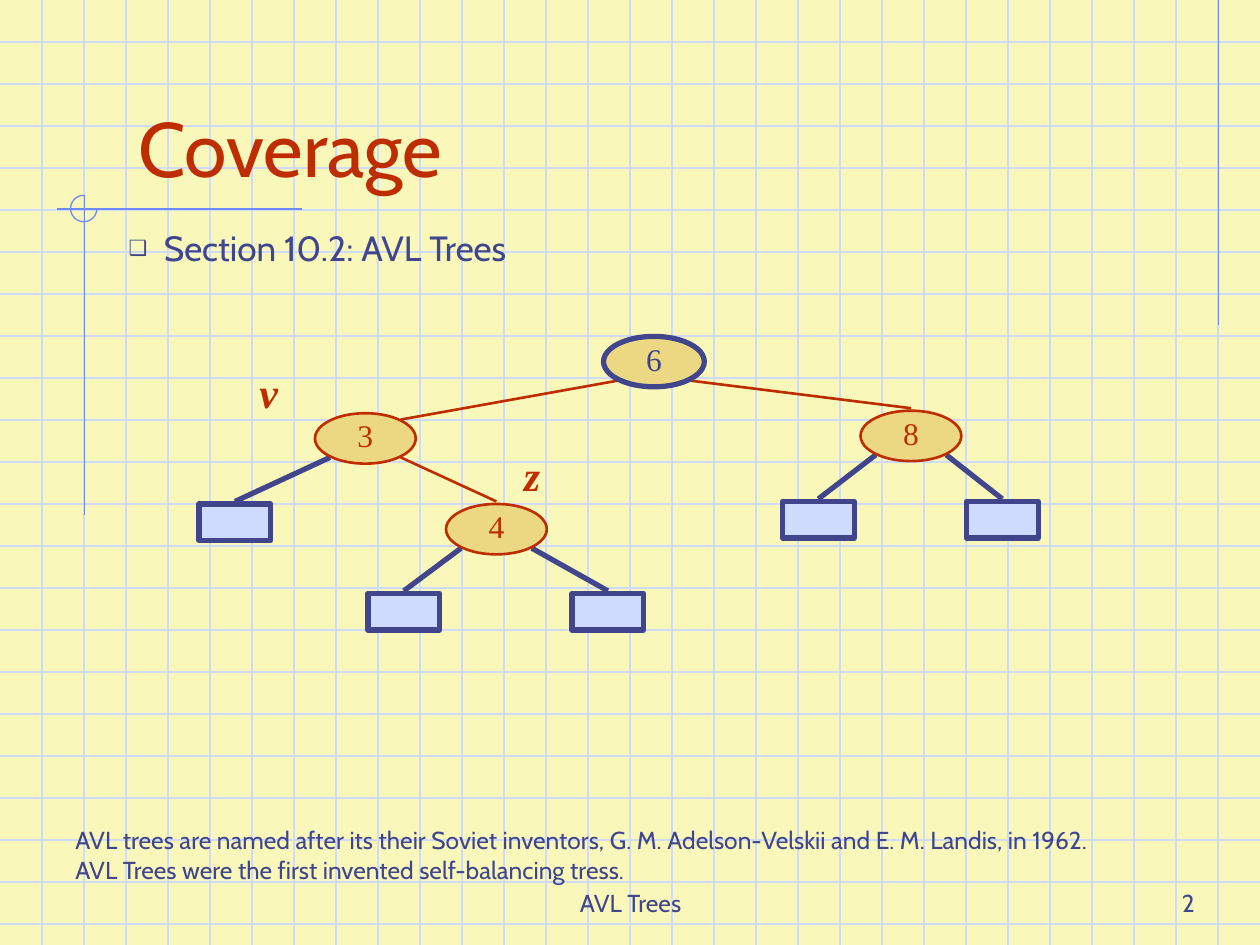
import pptx
import pptx.dml.color
import pptx.enum.shapes
import pptx.enum.text
import pptx.oxml
import pptx.oxml.ns
import pptx.util
from pptx.util import Inches

SHAPES = pptx.enum.shapes.MSO_SHAPE
ALIGN = pptx.enum.text.PP_ALIGN
ANCHOR = pptx.enum.text.MSO_ANCHOR

# Content
TITLE = "Coverage"
SECTION = "Section 10.2: AVL Trees"
NOTE = ("AVL trees are named after its their Soviet inventors, G. M. Adelson-Velskii "
        "and E. M. Landis, in 1962. AVL Trees were the first invented self-balancing tress.")
FOOTER = "AVL Trees"
PAGE = "2"

# Tree: key -> left, top, outline colour, outline width
NODES = {
    "6": (4.79, 2.67, "ink", 3),
    "3": (2.5, 3.28, "accent", 1.5),
    "8": (6.83, 3.26, "accent", 1.5),
    "4": (3.54, 4, "accent", 1.5),
}
# Leaves: parent, side (-1 left, 1 right), left, top
LEAVES = [
    ("3", -1, 1.58, 4),
    ("8", -1, 6.21, 3.98),
    ("8", 1, 7.67, 3.98),
    ("4", -1, 2.92, 4.71),
    ("4", 1, 4.54, 4.71),
]
# Edges between nodes: parent, side, child, whether it ends at the child's right shoulder
EDGES = [("6", -1, "3", True), ("6", 1, "8", False), ("3", 1, "4", False)]
LABELS = [("v", 1.96, 2.86), ("z", 4.06, 3.52)]

THEME = {
    "background": "F9F8BA", "grid": "CFDBFD", "rule": "6F89F7",
    "ink": "40458C", "accent": "BE2D00", "node": "ECD882", "leaf": "CFDBFD",
    "font": "Cabin", "tree_font": "Times New Roman",
    "title": 44, "body": 20, "label": 24, "key": 18, "small": 14,
}
WIDTH, HEIGHT, GRID_STEP = 10, 7.5, 1 / 3
NODE_SIZE, LEAF_SIZE = (0.8, 0.4), (0.57, 0.29)
SHOULDER_X, SHOULDER_Y, GAP = 0.28, 0.15, 0.02


def color(name):
    return pptx.dml.color.RGBColor.from_string(THEME[name])


def add_line(slide, start, end, line_color, width=0.75):
    points = [Inches(value) for value in (*start, *end)]
    line = slide.shapes.add_connector(pptx.enum.shapes.MSO_CONNECTOR.STRAIGHT, *points)
    line.line.color.rgb = color(line_color)
    line.line.width = pptx.util.Pt(width)
    line._element.spPr.append(pptx.oxml.parse_xml(
        f'<a:effectLst {pptx.oxml.ns.nsdecls("a")}/>'))


def add_shape(slide, kind, position, size, fill, outline, width):
    shape = slide.shapes.add_shape(kind, *(Inches(value) for value in (*position, *size)))
    shape.shadow.inherit = False
    if fill:
        shape.fill.solid()
        shape.fill.fore_color.rgb = color(fill)
    else:
        shape.fill.background()
    shape.line.color.rgb = color(outline)
    shape.line.width = pptx.util.Pt(width)
    return shape


def write(shape, text, size, font_color, font="font", align=ALIGN.LEFT,
          anchor=ANCHOR.TOP, wrap=True):
    frame = shape.text_frame
    frame.text = text
    frame.word_wrap = wrap
    frame.auto_size = pptx.enum.text.MSO_AUTO_SIZE.NONE
    frame.vertical_anchor = anchor
    paragraph = frame.paragraphs[0]
    paragraph.alignment = align
    paragraph.space_before = pptx.util.Pt(0)
    run_font = paragraph.runs[0].font
    run_font.name = THEME[font]
    run_font.size = pptx.util.Pt(THEME[size])
    run_font.color.rgb = color(font_color)
    return paragraph


def add_text(slide, box, text, size, font_color, **options):
    text_box = slide.shapes.add_textbox(*(Inches(value) for value in box))
    return write(text_box, text, size, font_color, **options)


def place(shape, left, top, width, height):
    shape.left, shape.top = Inches(left), Inches(top)
    shape.width, shape.height = Inches(width), Inches(height)


def add_backdrop(slide):
    slide.background.fill.solid()
    slide.background.fill.fore_color.rgb = color("background")
    for index in range(1, 23):
        y = index * GRID_STEP
        add_line(slide, (0, y), (WIDTH, y), "grid")
    for index in range(1, 30):
        x = index * GRID_STEP
        add_line(slide, (x, 0), (x, HEIGHT), "grid")
    # Margin rules and three-quarter circle
    add_line(slide, (9.67, 0), (9.67, 2.58), "rule")
    add_line(slide, (0.45, 1.66), (2.4, 1.66), "rule")
    add_line(slide, (0.67, 1.55), (0.67, 4.09), "rule")
    arc = add_shape(slide, SHAPES.ARC, (0.56, 1.55), (0.21, 0.21), None, "rule", 0.75)
    arc.adjustments[0] = 0
    arc.adjustments[1] = 270 * 60000 / 100000


def add_headings(slide):
    title, body = slide.placeholders[0], slide.placeholders[1]
    for placeholder in (title, body):  # bring in front of the grid
        slide.shapes._spTree.append(placeholder._element)
    place(title, 1, 0.33, 8.5, 1.25)
    write(title, TITLE, "title", "accent", anchor=ANCHOR.BOTTOM)
    place(body, 0.92, 1.75, 7.08, 0.83)
    paragraph = write(body, SECTION, "body", "ink")
    properties = paragraph._p.get_or_add_pPr()
    indent = Inches(0.28)
    properties.set("marL", str(indent))
    properties.set("indent", str(-indent))
    namespace = pptx.oxml.ns.nsdecls("a")
    for xml in (f'<a:buClr {namespace}><a:srgbClr val="{THEME["ink"]}"/></a:buClr>',
                f'<a:buSzPct {namespace} val="60000"/>',
                f'<a:buChar {namespace} char="❑"/>'):
        properties.append(pptx.oxml.parse_xml(xml))


def center(key):
    left, top = NODES[key][:2]
    return left + NODE_SIZE[0] / 2, top + NODE_SIZE[1] / 2


def lower_shoulder(key, side):
    x, y = center(key)
    return x + side * SHOULDER_X, y + SHOULDER_Y


def add_tree(slide):
    for parent, side, child, at_shoulder in EDGES:
        x, y = center(child)
        end = (x, NODES[child][1] - GAP)
        if at_shoulder:
            end = (x + SHOULDER_X, y - SHOULDER_Y)
        add_line(slide, lower_shoulder(parent, side), end, "accent", 1.5)
    for parent, side, left, top in LEAVES:
        end = (left + LEAF_SIZE[0] / 2, top - GAP)
        add_line(slide, lower_shoulder(parent, side), end, "ink", 3)
        add_shape(slide, SHAPES.RECTANGLE, (left, top), LEAF_SIZE, "leaf", "ink", 3)
    for key, (left, top, outline, width) in NODES.items():
        node = add_shape(slide, SHAPES.OVAL, (left, top), NODE_SIZE, "node", outline, width)
        frame = node.text_frame
        frame.margin_left = frame.margin_right = frame.margin_top = 0
        frame.margin_bottom = Inches(0.05)
        write(node, key, "key", outline, font="tree_font", align=ALIGN.CENTER,
              anchor=ANCHOR.MIDDLE, wrap=False)
    for text, left, top in LABELS:
        paragraph = add_text(slide, (left, top, 0.78, 0.5), text, "label", "accent",
                             font="tree_font")
        paragraph.runs[0].font.bold = True
        paragraph.runs[0].font.italic = True


def main():
    presentation = pptx.Presentation()
    presentation.slide_width, presentation.slide_height = Inches(WIDTH), Inches(HEIGHT)
    slide = presentation.slides.add_slide(presentation.slide_layouts[1])
    add_backdrop(slide)
    add_headings(slide)
    add_tree(slide)
    # Note, footer and page number
    add_text(slide, (0.5, 6.5, 8.5, 0.57), NOTE, "small", "ink")
    add_text(slide, (3.42, 6.83, 3.17, 0.5), FOOTER, "small", "ink",
             align=ALIGN.CENTER, anchor=ANCHOR.BOTTOM)
    add_text(slide, (7.5, 6.83, 2.08, 0.5), PAGE, "small", "ink",
             align=ALIGN.RIGHT, anchor=ANCHOR.BOTTOM)
    presentation.save("out.pptx")


if __name__ == "__main__":
    main()
